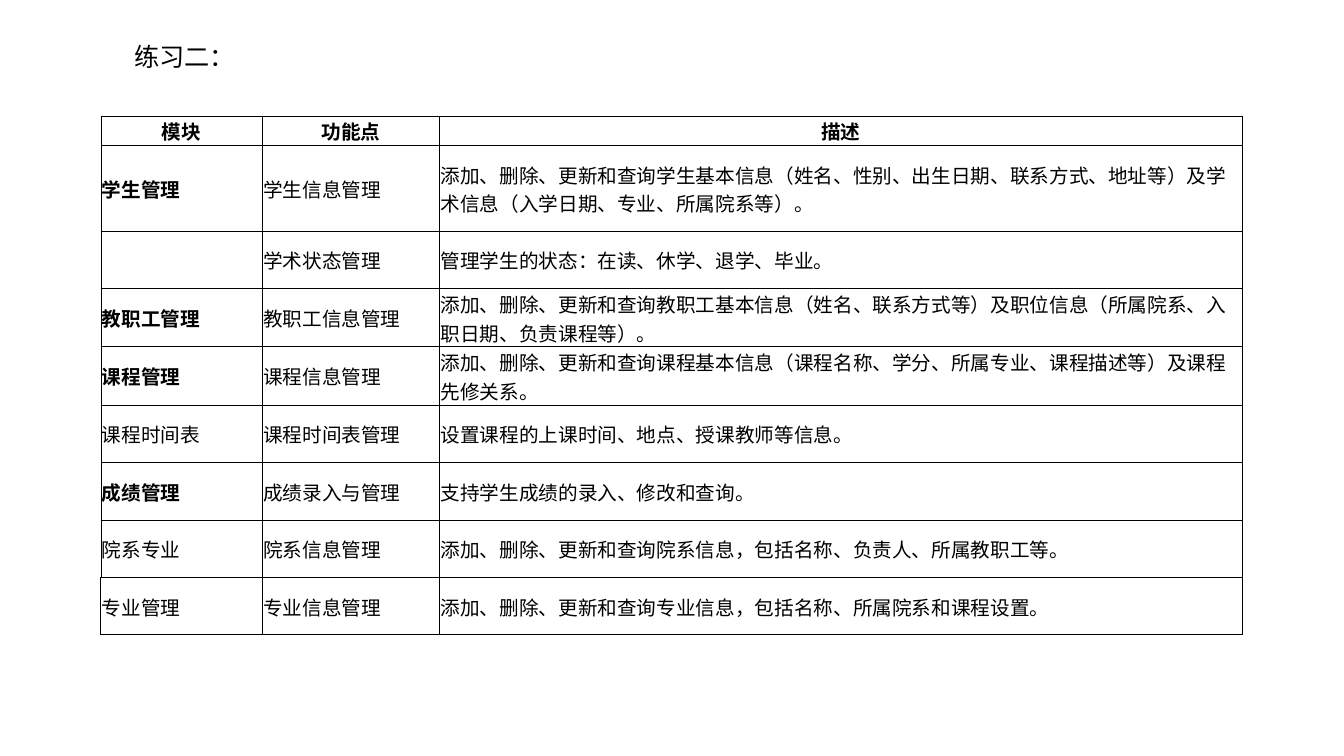
from lxml import etree
from pptx import Presentation
from pptx.dml.color import RGBColor
from pptx.enum.text import MSO_ANCHOR, PP_ALIGN
from pptx.oxml.ns import qn
from pptx.util import Inches, Pt

TOP, MID = MSO_ANCHOR.TOP, MSO_ANCHOR.MIDDLE
LEFT, CENTER = PP_ALIGN.LEFT, PP_ALIGN.CENTER
ARIAL, NOTO = "Arial", "Noto Sans CJK SC"
INK = "000000"


def write(frame, text, size, bold, face, align):
    para = frame.paragraphs[0]
    para.alignment = align
    run = para.add_run()
    run.text = text
    look = {"size": Pt(size), "bold": bold, "name": face}
    for key, value in look.items():
        setattr(run.font, key, value)
    run.font.color.rgb = RGBColor.from_string(INK)
    etree.SubElement(run.font._element, qn("a:ea"), typeface=NOTO)


def edge(cell, side, width):
    line = etree.Element(qn("a:ln" + side), w=str(Pt(width)))
    fill = etree.SubElement(line, qn("a:solidFill"))
    etree.SubElement(fill, qn("a:srgbClr"), val=INK)
    cell._tc.get_or_add_tcPr().append(line)


deck = Presentation()
deck.slide_width, deck.slide_height = Inches(13.33), Inches(7.5)
slide = deck.slides.add_slide(deck.slide_layouts[5])

title = slide.shapes.title
spot = {"left": 1.23, "top": 0.36, "width": 6.67, "height": 0.4}
for key, value in spot.items():
    setattr(title, key, Inches(value))
title.text_frame.vertical_anchor = TOP
title.text_frame.word_wrap = True
write(title.text_frame, "练习二：", 18, False, ARIAL, LEFT)

rows = [
    ("模块", "功能点", "描述"),
    ("学生管理", "学生信息管理",
     "添加、删除、更新和查询学生基本信息（姓名、性别、出生日期、联系方式、地址等）及学术信息（入学日期、专业、所属院系等）。"),
    ("", "学术状态管理", "管理学生的状态：在读、休学、退学、毕业。"),
    ("教职工管理", "教职工信息管理",
     "添加、删除、更新和查询教职工基本信息（姓名、联系方式等）及职位信息（所属院系、入职日期、负责课程等）。"),
    ("课程管理", "课程信息管理",
     "添加、删除、更新和查询课程基本信息（课程名称、学分、所属专业、课程描述等）及课程先修关系。"),
    ("课程时间表", "课程时间表管理", "设置课程的上课时间、地点、授课教师等信息。"),
    ("成绩管理", "成绩录入与管理", "支持学生成绩的录入、修改和查询。"),
    ("院系专业", "院系信息管理", "添加、删除、更新和查询院系信息，包括名称、负责人、所属教职工等。"),
    ("专业管理", "专业信息管理", "添加、删除、更新和查询专业信息，包括名称、所属院系和课程设置。"),
]
strong = {"学生管理", "教职工管理", "课程管理", "成绩管理"}
wide = [1.6, 1.76, 7.96]
high = [0.28, 0.85] + [0.57] * (len(rows) - 2)
last = len(rows) - 1

grid = slide.shapes.add_table(
    len(rows), len(wide), Inches(1), Inches(1.15),
    Inches(sum(wide)), Inches(sum(high))).table
grid.first_row = grid.horz_banding = False
for col, width in zip(grid.columns, wide):
    col.width = Inches(width)

pad = Inches(0.01)
frame = {"vertical_anchor": MID, "margin_left": pad, "margin_right": pad,
         "margin_top": pad, "margin_bottom": 0}
for r, texts in enumerate(rows):
    grid.rows[r].height = Inches(high[r])
    for c, text in enumerate(texts):
        cell = grid.cell(r, c)
        for key, value in frame.items():
            setattr(cell, key, value)
        for side in "LRTB":
            edge(cell, side, 1 if r == last and side in "LR" else 0.5)
        cell.fill.background()
        if text:
            write(cell.text_frame, text, 14, r == 0 or text in strong,
                  ARIAL if r >= last - 1 else NOTO, CENTER if r == 0 else LEFT)

deck.save("out.pptx")
